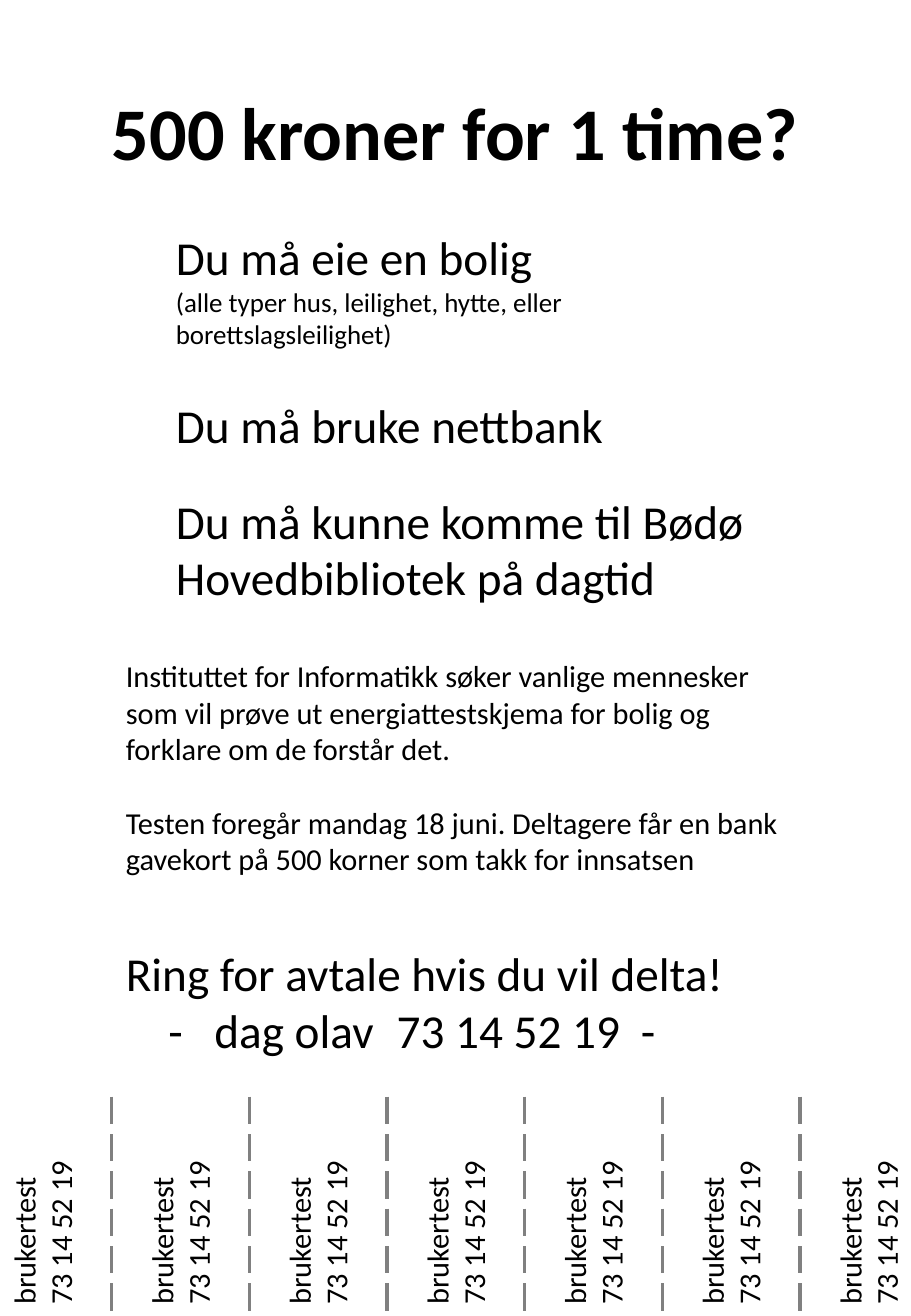
from pptx import Presentation
from pptx import util as u
from pptx.dml.color import RGBColor
from pptx.enum import dml, shapes, text
from lxml import etree

W, H = 7.5, 10.83
STRIPS = 7
PITCH = 1.13 * W / 7.48  # strip width
TOP = H / 1.2            # upper end of the cut lines
LEFT, INNER = W / 8, 0.18 * W
PHONE = "73 14 52 19"
THEME = {"font": "Calibri", "ink": RGBColor(0, 0, 0), "cut": RGBColor(128, 128, 128),
         "title": 44, "big": 28, "body": 18, "note": 16}

deck = Presentation()
deck.slide_width, deck.slide_height = u.Inches(W), u.Inches(H)
page = deck.slides.add_slide(deck.slide_layouts[6])


def write(place, lines, **form):
    """Add a text box; lines are (text, size name) pairs, form is set on the frame."""
    box = page.shapes.add_textbox(*map(u.Inches, place))
    frame = box.text_frame
    for key, value in {"word_wrap": True, **form}.items():
        setattr(frame, key, value)
    for i, (words, size) in enumerate(lines):
        para = frame.add_paragraph() if i else frame.paragraphs[0]
        run = para.add_run()
        run.text = words
        look = {"name": THEME["font"], "size": u.Pt(THEME[size])}
        for key, value in look.items():
            setattr(run.font, key, value)
        run.font.color.rgb = THEME["ink"]
    return box


title = write((0.56, 0.33, 6.38, 1.5), [("500 kroner for 1 time?", "title")],
              vertical_anchor=text.MSO_ANCHOR.MIDDLE)
head = title.text_frame.paragraphs[0]
head.alignment = text.PP_ALIGN.CENTER
head.runs[0].font.bold = True

write((INNER, 1.83, 5.17, 1.11), [
    ("Du må eie en bolig", "big"),
    ("(alle typer hus, leilighet, hytte, eller borettslagsleilighet)", "note")])
write((INNER, 3.21, 3.88, 0.57), [("Du må bruke nettbank", "big")])
write((INNER, 4, 5.58, 1.04),
      [("Du må kunne komme til Bødø Hovedbibliotek på dagtid", "big")])

about = write((LEFT, 5.36, 5.58, 2.22), [
    ("Instituttet for Informatikk søker vanlige mennesker som vil prøve ut "
     "energiattestskjema for bolig og forklare om de forstår det.", "body"),
    ("Testen foregår mandag 18 juni. Deltagere får en bank gavekort på 500 korner "
     "som takk for innsatsen", "body")])
about.text_frame.paragraphs[0].space_after = u.Pt(22)

call = write((LEFT, 7.72, 5.58, 1.04), [
    ("Ring for avtale hvis du vil delta!", "big"),
    (f"\t-\tdag olav\t{PHONE}\t-", "big")])
props = call.text_frame.paragraphs[1]._p.get_or_add_pPr()
stops = etree.SubElement(props, props.tag.replace("pPr", "tabLst"))
for stop in (0.35, 0.73, 2.23, 4.24):
    etree.SubElement(stops, props.tag.replace("pPr", "tab"),
                     pos=str(u.Inches(stop)), algn="l")

for i in range(STRIPS):
    slip = write((i * PITCH - 0.65, 9.48, 2, 0.71),
                 [("brukertest", "body"), (PHONE, "body")])
    slip.rotation = 270

for i in range(STRIPS - 1):
    x = u.Inches(0.92 + i * PITCH)
    cut = page.shapes.add_connector(shapes.MSO_CONNECTOR.STRAIGHT,
                                    x, u.Inches(TOP), x, u.Inches(H))
    cut.line.color.rgb = THEME["cut"]
    cut.line.width = u.Pt(2)
    cut.line.dash_style = dml.MSO_LINE.LONG_DASH
    props = cut._element.spPr
    etree.SubElement(props, props.find("{*}ln").tag.replace("}ln", "}effectLst"))

deck.save("out.pptx")
